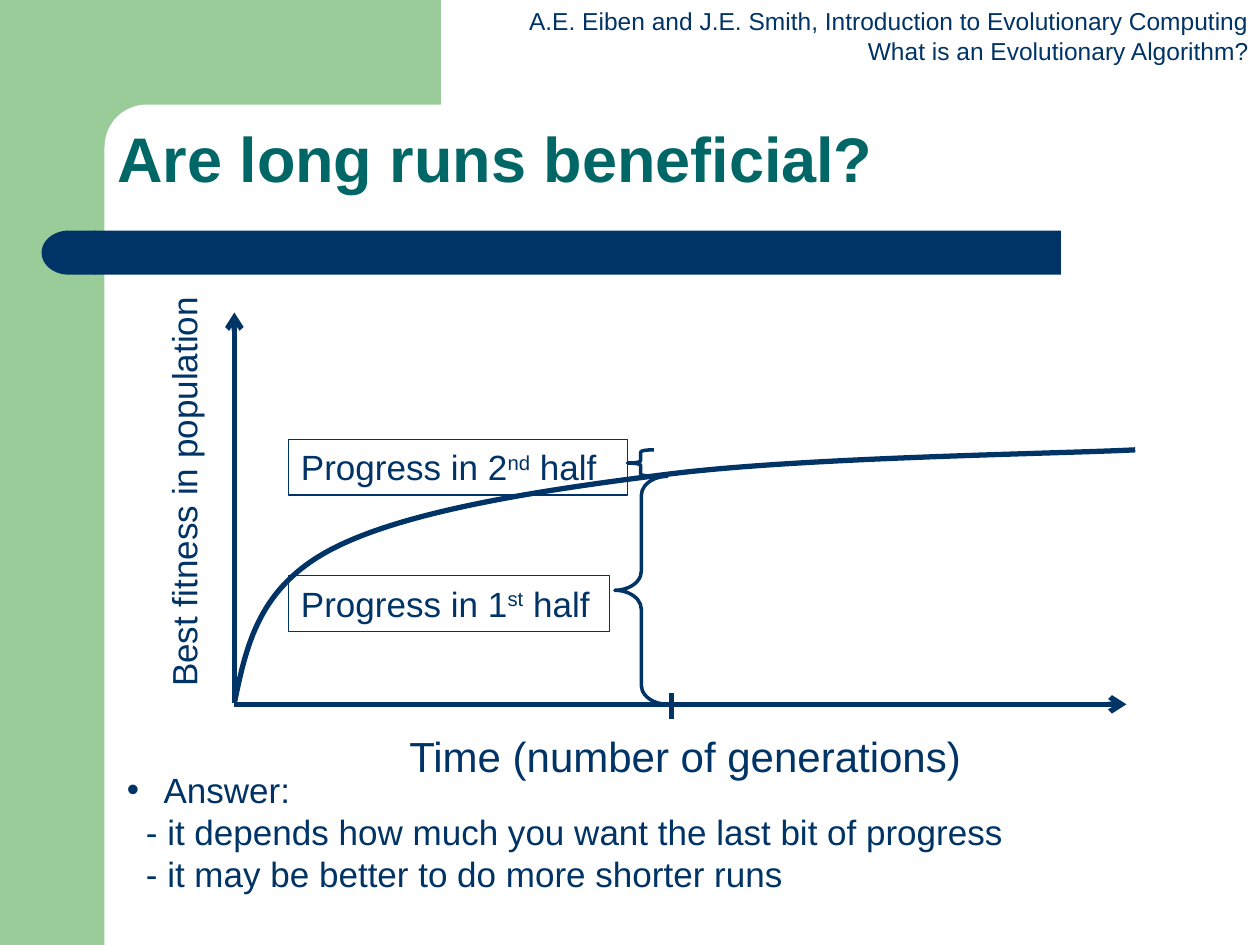
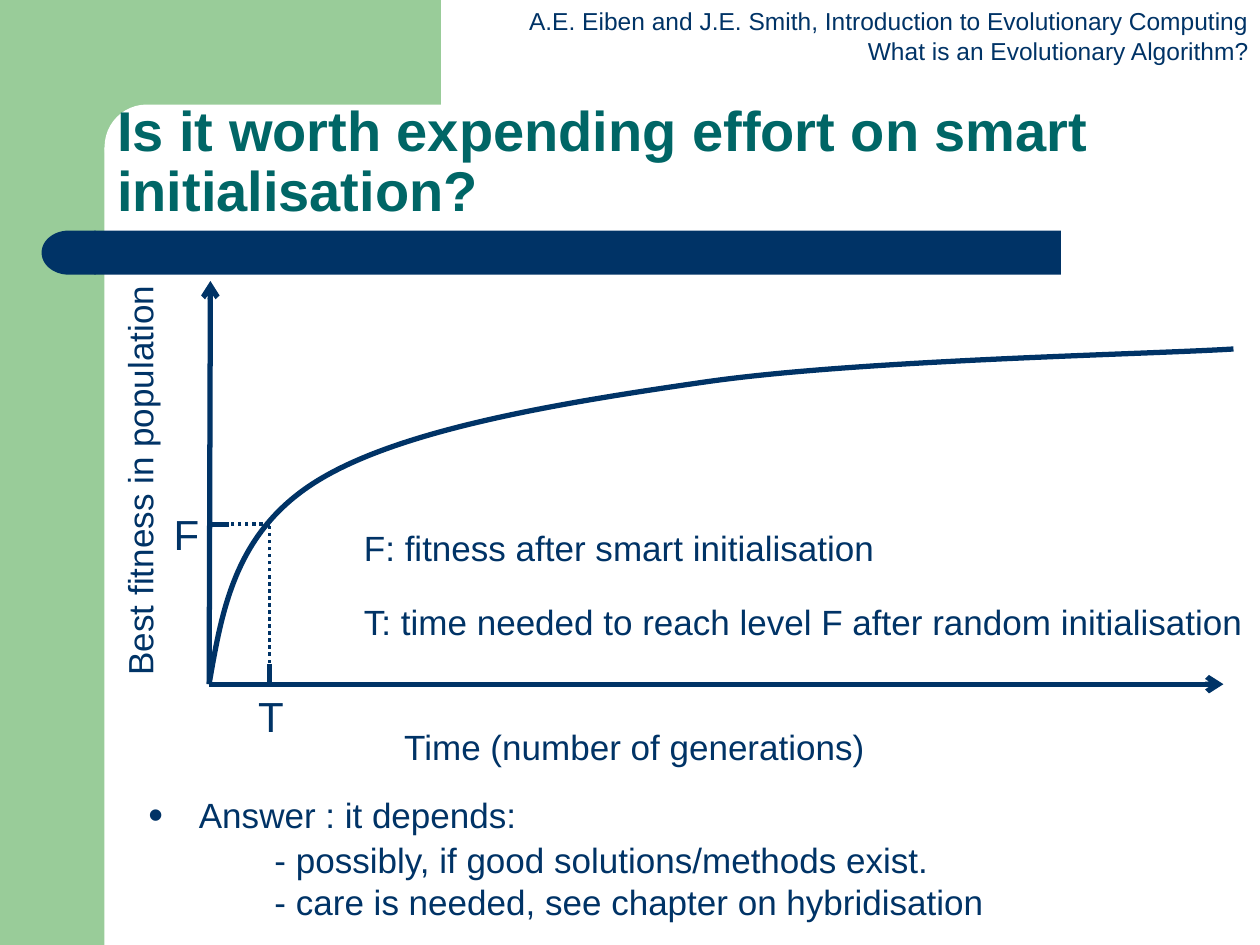
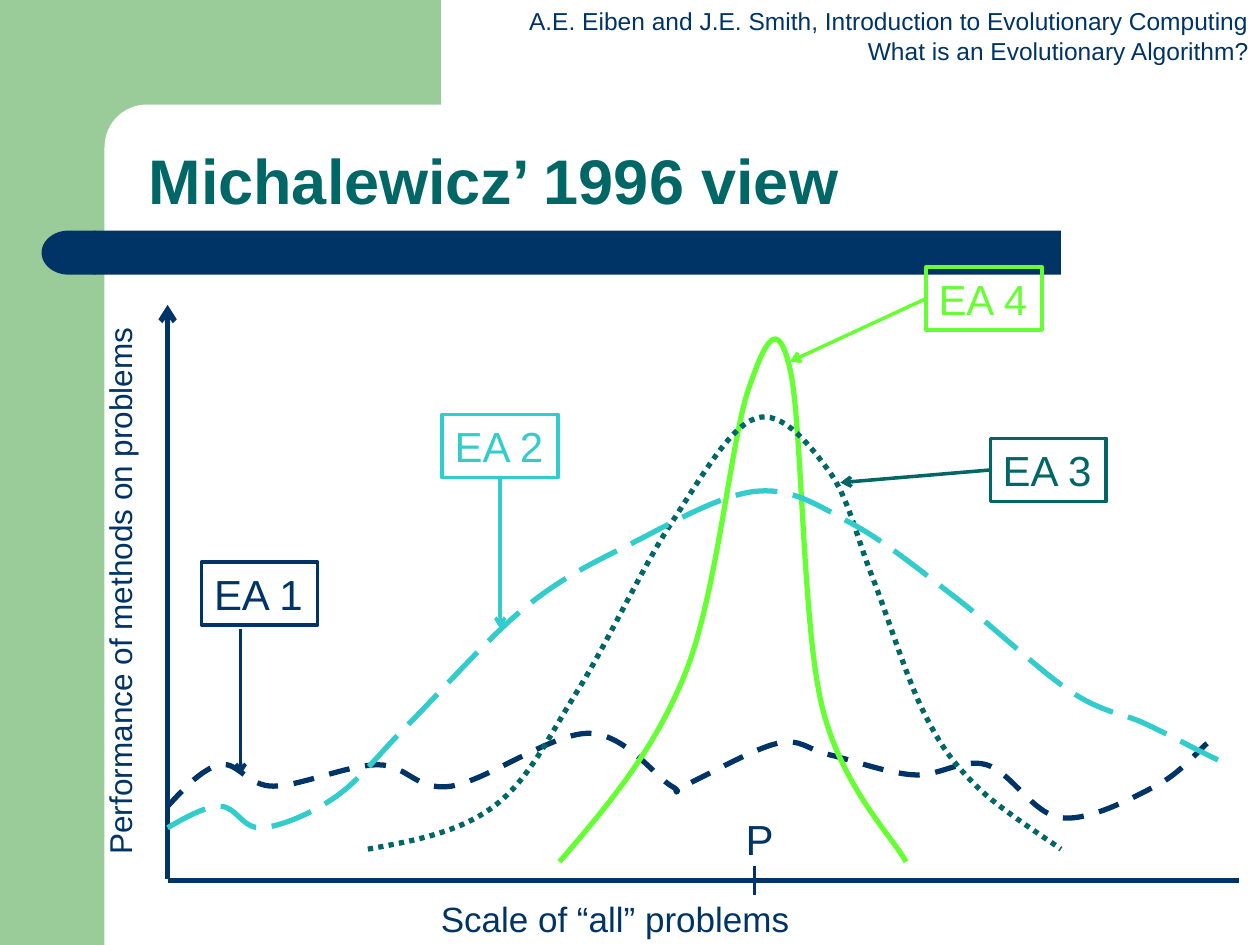
from dataclasses import dataclass

from lxml import etree
from pptx import Presentation
from pptx import util as u
from pptx.dml.color import RGBColor
from pptx.enum import dml, shapes, text
from pptx.oxml.ns import qn

NAVY = RGBColor(0x00, 0x33, 0x66)
TEAL = RGBColor(0x00, 0x66, 0x66)
SAGE = RGBColor(0x99, 0xCC, 0x99)
LIME = RGBColor(0x66, 0xFF, 0x33)
AQUA = RGBColor(0x33, 0xCC, 0xCC)
WHITE = RGBColor(0xFF, 0xFF, 0xFF)
FONT = "Arial"
SHAPE = shapes.MSO_SHAPE
DASH = dml.MSO_LINE

HEADER = ("A.E. Eiben and J.E. Smith, Introduction to Evolutionary Computing",
          "What is an Evolutionary Algorithm?")


@dataclass(frozen=True)
class Box:
    """A rectangle on the slide, in inches."""
    x: float
    y: float
    w: float
    h: float

    def emu(self):
        """Return the four lengths for python-pptx."""
        return tuple(u.Inches(v) for v in (self.x, self.y, self.w, self.h))


@dataclass(frozen=True)
class Band:
    """A filled shape of the shared background."""
    kind: SHAPE
    box: Box
    fill: RGBColor
    rotation: int = 0


@dataclass(frozen=True)
class Label:
    """A piece of plain text with its place and size."""
    words: str
    box: Box
    size: int = 20
    rotation: int = 0
    wrap: bool = False


@dataclass(frozen=True)
class Stroke:
    """A straight line, with or without an arrowhead."""
    start: tuple
    end: tuple
    width: float = 3
    arrow: bool = False
    dash: DASH = None


@dataclass(frozen=True)
class Method:
    """One algorithm: its curve, its name box and its pointer."""
    name: str
    color: RGBColor
    nodes: tuple
    box: Box
    pointer: Stroke
    dash: DASH = None
    side: int = None


BANDS = (
    Band(SHAPE.RECTANGLE, Box(0, 0, 0.83, 7.5), SAGE),
    Band(SHAPE.RECTANGLE, Box(0.75, 0, 2.75, 1.17), SAGE),
    Band(SHAPE.ROUNDED_RECTANGLE, Box(0.83, 0.83, 5.58, 0.67), WHITE),
    Band(SHAPE.RECTANGLE, Box(0.75, 1.83, 7.67, 0.35), NAVY),
    Band(SHAPE.FLOWCHART_DELAY, Box(0.33, 1.83, 0.43, 0.35), NAVY, 180),
)

METHODS = (
    Method("EA 1", NAVY,
           ((1.33, 6.4), (1.75, 6.07), (2.17, 6.24), (3, 6.07), (3.58, 6.24),
            (4.67, 5.82), (5.33, 6.24), (5.42, 6.24), (6.17, 5.9), (6.58, 5.99),
            (7.25, 6.15), (7.83, 6.07), (8.42, 6.49), (9.17, 6.24), (9.58, 5.9)),
           Box(1.6, 4.46, 0.92, 0.5), Stroke((1.91, 4.99), (1.91, 6.15), 2, True),
           DASH.DASH),
    Method("EA 4", LIME,
           ((4.44, 6.84), (5.44, 5.34), (5.94, 3.09), (6.27, 2.93), (6.52, 5.59),
            (7.19, 6.84)),
           Box(7.35, 2.12, 0.92, 0.5), Stroke((7.34, 2.39), (6.27, 2.87), 2, True),
           side=1),
    Method("EA 3", TEAL,
           ((2.92, 6.74), (3.92, 6.4), (4.58, 5.49), (5.33, 4.15), (6, 3.32),
            (6.58, 3.74), (6.92, 4.57), (7.33, 5.65), (7.75, 6.24), (8.42, 6.74)),
           Box(7.86, 3.48, 0.92, 0.5), Stroke((7.83, 3.73), (6.67, 3.83), 2, True),
           DASH.ROUND_DOT, 1),
    Method("EA 2", AQUA,
           ((1.33, 6.57), (1.75, 6.4), (2.08, 6.57), (2.67, 6.32), (3.25, 5.74),
            (4.17, 4.82), (5, 4.32), (6, 3.9), (6.75, 4.15), (7.58, 4.74),
            (8.5, 5.49), (9.08, 5.74), (9.58, 5.99), (9.75, 6.07)),
           Box(3.51, 3.29, 0.92, 0.5), Stroke((3.97, 3.82), (3.97, 4.99), 2, True),
           DASH.LONG_DASH, 2),
)


def add_run(p, words: str, size: int, color: RGBColor = NAVY, bold: bool = False):
    """Add one formatted run to a paragraph."""
    r = p.add_run()
    r.text = words
    r.font.name, r.font.size, r.font.bold = FONT, u.Pt(size), bold
    r.font.color.rgb = color
    return r


def set_frame(tf, wrap: bool) -> None:
    """Give a text frame the shared wrapping and anchor."""
    tf.word_wrap = wrap
    tf.auto_size = text.MSO_AUTO_SIZE.SHAPE_TO_FIT_TEXT
    tf.vertical_anchor = text.MSO_ANCHOR.TOP


def style_line(line, color: RGBColor, width: float, dash: DASH = None) -> None:
    """Set colour, width and dash of a line."""
    line.color.rgb = color
    line.width = u.Pt(width)
    if dash is not None:
        line.dash_style = dash


def add_label(s, label: Label):
    """Add a text box with one run."""
    sp = s.shapes.add_textbox(*label.box.emu())
    set_frame(sp.text_frame, label.wrap)
    add_run(sp.text_frame.paragraphs[0], label.words, label.size)
    sp.rotation = label.rotation
    return sp


def add_stroke(s, stroke: Stroke, color: RGBColor = NAVY, source=None, side: int = None):
    """Add a connector, joined to the side of a source when one is given."""
    ends = (u.Inches(v) for v in stroke.start + stroke.end)
    cxn = s.shapes.add_connector(shapes.MSO_CONNECTOR.STRAIGHT, *ends)
    if side is not None:
        cxn.begin_connect(source, side)
    style_line(cxn.line, color, stroke.width, stroke.dash)
    sp_pr = cxn.element.find(qn("p:spPr"))
    if stroke.arrow:
        etree.SubElement(sp_pr.find(qn("a:ln")), qn("a:tailEnd"), type="arrow")
    etree.SubElement(sp_pr, qn("a:effectLst"))
    return cxn


def smooth(nodes: tuple) -> list:
    """Return the start and the Bezier points of a smooth curve through the nodes."""
    pts = [complex(*n) for n in nodes]
    last = len(pts) - 1
    pulls = [(pts[min(i + 1, last)] - pts[max(i - 1, 0)]) / 6 for i in range(last + 1)]
    points = [pts[0]]
    for i in range(last):
        arrive = pts[i + 1] - pulls[i + 1]
        leave = pts[i] + pulls[i] if i else (pts[0] + arrive) / 2
        points += [leave, arrive, pts[i + 1]]
    return [(u.Inches(z.real), u.Inches(z.imag)) for z in points]


def add_curve(s, nodes: tuple, color: RGBColor = NAVY, dash: DASH = None):
    """Draw an open smooth curve through the nodes."""
    points = smooth(nodes)
    builder = s.shapes.build_freeform(*points[0])
    builder.add_line_segments(points[1:], close=False)
    sp = builder.convert_to_shape()
    segments = list(sp.element.iter(qn("a:lnTo")))
    outline = segments[0].getparent()
    for i in range(0, len(segments), 3):
        bezier = etree.SubElement(outline, qn("a:cubicBezTo"))
        for segment in segments[i:i + 3]:
            bezier.append(segment[0])
            outline.remove(segment)
    sp.shadow.inherit = False
    sp.fill.background()
    style_line(sp.line, color, 3, dash)
    return sp


def add_outline(s, kind: SHAPE, box: Box, color: RGBColor, width: float):
    """Add an unfilled preset shape."""
    sp = s.shapes.add_shape(kind, *box.emu())
    sp.shadow.inherit = False
    sp.fill.background()
    style_line(sp.line, color, width)
    return sp


def add_progress(s, ordinal: str, suffix: str, box: Box) -> None:
    """Add a framed note about one half of the run."""
    sp = add_outline(s, SHAPE.RECTANGLE, box, NAVY, 0.75)
    set_frame(sp.text_frame, True)
    p = sp.text_frame.paragraphs[0]
    p.alignment = text.PP_ALIGN.LEFT
    add_run(p, f"Progress in {ordinal}", 20)
    add_run(p, suffix, 20).font._element.set("baseline", "30000")
    add_run(p, " half", 20)


def add_answer(s, box: Box, lines: tuple, hang: float, indent: float,
               bullet_size: int, gap: float, wrap: bool) -> None:
    """Add a bulleted answer followed by indented lines."""
    sp = s.shapes.add_textbox(*box.emu())
    tf = sp.text_frame
    set_frame(tf, wrap)
    for i, words in enumerate(lines):
        p = tf.add_paragraph() if i else tf.paragraphs[0]
        add_run(p, words, 20)
        p_pr = p._p.get_or_add_pPr()
        p_pr.set("marL", str(u.Inches(indent if i else hang)))
        p_pr.set("indent", str(0 if i else -u.Inches(hang)))
        if i == 0:
            p.space_after = u.Pt(gap)
            etree.SubElement(p_pr, qn("a:buSzPct"), val=str(bullet_size * 1000))
            etree.SubElement(p_pr, qn("a:buFont"), typeface=FONT)
            etree.SubElement(p_pr, qn("a:buChar"), char="•")


def add_slide(prs, title: str, box: Box, size: int = 36):
    """Add a slide and format its title."""
    s = prs.slides.add_slide(prs.slide_layouts[5])
    sp = s.shapes.title
    sp.left, sp.top, sp.width, sp.height = box.emu()
    tf = sp.text_frame
    tf.word_wrap, tf.auto_size = True, text.MSO_AUTO_SIZE.NONE
    tf.vertical_anchor = text.MSO_ANCHOR.MIDDLE
    p = tf.paragraphs[0]
    p.alignment, p.line_spacing = text.PP_ALIGN.LEFT, 0.9
    add_run(p, title, size, TEAL, True)
    return s


def build_layout(s) -> None:
    """Draw the bands and header once and hand them to the slide's layout."""
    layout = s.slide_layout
    for ph in list(layout.placeholders)[1:]:
        ph.element.getparent().remove(ph.element)
    parts = []
    for band in BANDS:
        sp = s.shapes.add_shape(band.kind, *band.box.emu())
        sp.shadow.inherit = False
        sp.fill.solid()
        sp.fill.fore_color.rgb = band.fill
        sp.line.fill.background()
        sp.rotation = band.rotation
        if band.kind == SHAPE.ROUNDED_RECTANGLE:
            sp.adjustments[0] = 0.5
        parts.append(sp)
    header = s.shapes.add_textbox(*Box(4.1, 0, 5.91, 0.57).emu())
    tf = header.text_frame
    set_frame(tf, False)
    for i, words in enumerate(HEADER):
        p = tf.add_paragraph() if i else tf.paragraphs[0]
        p.alignment = text.PP_ALIGN.RIGHT
        add_run(p, words, 14)
    tree = layout.placeholders[0].element.getparent()
    for sp in parts + [header]:
        tree.append(sp.element)


def build_long_runs(prs) -> None:
    """Build the slide about long runs."""
    s = add_slide(prs, "Are long runs beneficial?", Box(0.83, 0.83, 8.5, 0.92))
    build_layout(s)
    add_label(s, Label("Best fitness in population", Box(-0.2, 3.67, 3.32, 0.44), rotation=270))
    add_label(s, Label("Time (number of generations)", Box(3.15, 5.75, 4.59, 0.5), 24))
    for stroke in (Stroke((1.86, 5.59), (8.94, 5.59), arrow=True),
                   Stroke((1.86, 5.58), (1.86, 2.48), arrow=True),
                   Stroke((5.33, 5.71), (5.33, 5.5))):
        add_stroke(s, stroke)
    add_curve(s, ((1.86, 5.58), (2.63, 4.36), (5.33, 3.76), (9.01, 3.57)))
    for box, bend in ((Box(4.88, 3.78, 0.42, 1.81), 0.36), (Box(4.98, 3.57, 0.21, 0.21), 0.08)):
        add_outline(s, SHAPE.LEFT_BRACE, box, NAVY, 2).adjustments[0] = bend
    add_progress(s, "1", "st", Box(2.29, 4.57, 2.55, 0.44))
    add_progress(s, "2", "nd", Box(2.29, 3.49, 2.69, 0.44))
    add_answer(s, Box(0.91, 6.05, 7.16, 1.1),
               ("Answer:", "- it depends how much you want the last bit of progress",
                "- it may be better to do more shorter runs"), 0.29, 0.15, 100, 0, False)


def build_initialisation(prs) -> None:
    """Build the slide about smart initialisation."""
    s = add_slide(prs, "Is it worth expending effort on smart initialisation?",
                  Box(0.83, 0.67, 8.5, 1.25), 32)
    for stroke in (Stroke((1.66, 5.43), (9.71, 5.43), arrow=True),
                   Stroke((1.66, 5.43), (1.67, 2.23), arrow=True),
                   Stroke((2.14, 5.43), (2.14, 4.16), 2, dash=DASH.ROUND_DOT),
                   Stroke((2.14, 5.43), (2.14, 5.27)),
                   Stroke((2.14, 4.16), (1.66, 4.16), 2, dash=DASH.ROUND_DOT),
                   Stroke((1.66, 4.16), (1.82, 4.16))):
        add_stroke(s, stroke)
    add_curve(s, ((1.66, 5.43), (2.53, 3.81), (5.61, 3.03), (9.79, 2.77)))
    for label in (
            Label("T: time needed to reach level F after random initialisation",
                  Box(2.79, 4.72, 7.21, 0.77), wrap=True),
            Label("T", Box(1.95, 5.43, 0.4, 0.5), 24),
            Label("Time (number of generations)", Box(3.11, 5.71, 3.86, 0.44)),
            Label("Best fitness in population", Box(-0.55, 3.58, 3.32, 0.44), rotation=270),
            Label("F: fitness after smart initialisation", Box(2.79, 4.13, 5.32, 0.44), wrap=True),
            Label("F", Box(1.28, 3.99, 0.4, 0.5), 24)):
        add_label(s, label)
    add_answer(s, Box(1.08, 6.25, 7.89, 1.12),
               ("Answer : it depends:", "- possibly, if good solutions/methods exist.",
                "- care is needed, see chapter on hybridisation"), 0.4, 1, 120, 1.5, True)


def build_view(prs) -> None:
    """Build the slide comparing four algorithms."""
    s = add_slide(prs, "Michalewicz’ 1996 view", Box(1.08, 1, 8.67, 0.92))
    for label in (Label("Scale of “all” problems", Box(3.4, 7.07, 2.97, 0.44)),
                  Label("P", Box(5.82, 6.41, 0.42, 0.5), 24),
                  Label("Performance of methods on problems",
                        Box(-1.24, 4.49, 4.38, 0.4), 18, 270)):
        add_label(s, label)
    for stroke in (Stroke((1.33, 6.99), (9.83, 6.99)),
                   Stroke((5.99, 6.87), (5.99, 7.1), 2),
                   Stroke((1.33, 6.98), (1.33, 2.42), arrow=True)):
        add_stroke(s, stroke)
    for m in METHODS:
        add_curve(s, m.nodes, m.color, m.dash)
        sp = add_outline(s, SHAPE.RECTANGLE, m.box, m.color, 2)
        set_frame(sp.text_frame, False)
        p = sp.text_frame.paragraphs[0]
        p.alignment = text.PP_ALIGN.LEFT
        add_run(p, m.name, 24, m.color)
        add_stroke(s, m.pointer, m.color, sp, m.side)


def main() -> None:
    """Build and save the presentation."""
    prs = Presentation()
    prs.slide_width, prs.slide_height = u.Inches(10), u.Inches(7.5)
    build_long_runs(prs)
    build_initialisation(prs)
    build_view(prs)
    prs.save("out.pptx")


if __name__ == "__main__":
    main()
